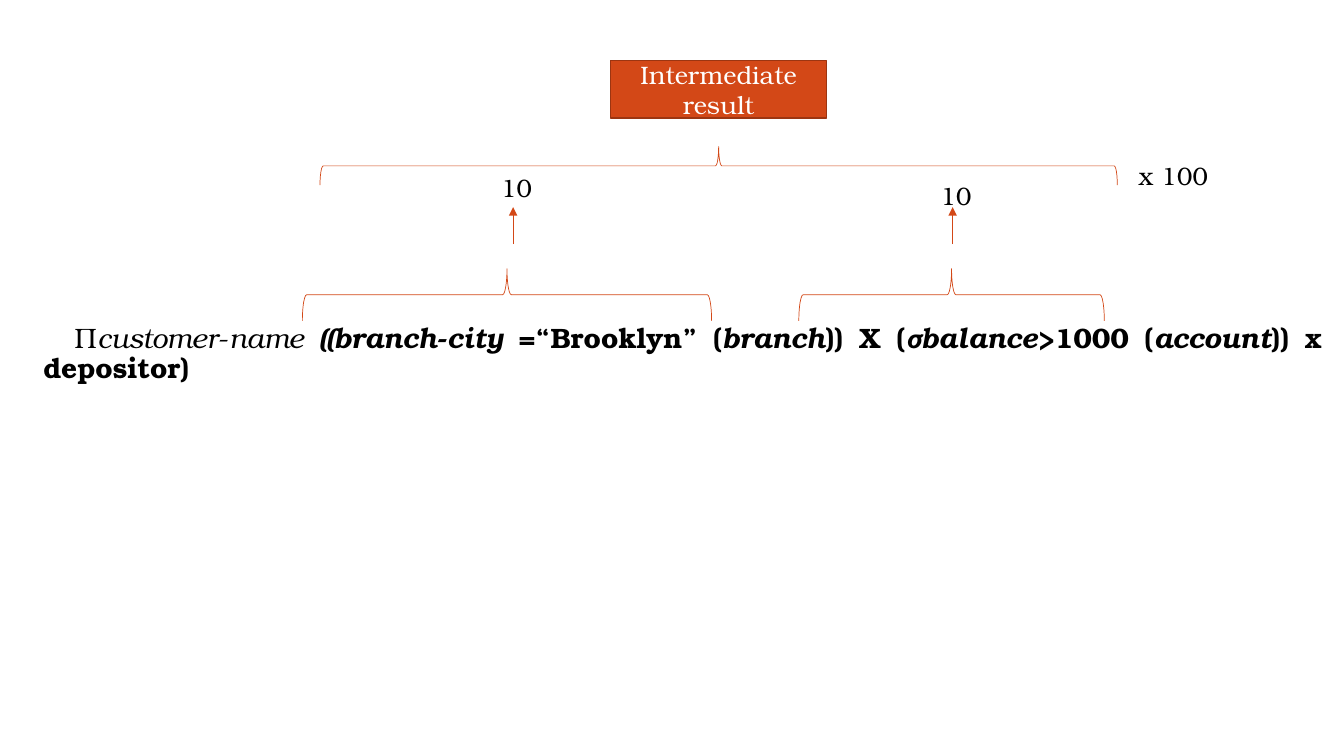
from dataclasses import dataclass
from lxml import etree
from pptx import Presentation, util as u
from pptx.dml.color import RGBColor
from pptx.enum import shapes as sh, text as tx
from pptx.oxml.ns import qn


@dataclass(frozen=True)
class Theme:
    """Colours, font, sizes and line widths."""
    accent: str = "D34817"
    edge: str = "9C3511"
    ink: str = "000000"
    paper: str = "FFFFFF"
    font: str = "TeX Gyre Bonum"
    label: int = 18
    formula: int = 20
    thin: float = 0.5


T = Theme()
WIDE, HIGH = u.Inches(13.33), u.Inches(7.5)
BOLD, SLANT, PLAIN = (True, False), (True, True), (False, False)
FORMULA = [
    ("Π", PLAIN), ("customer", (False, True)), ("-", PLAIN),
    ("name", (False, True)), (" ((branch", SLANT), ("-", BOLD),
    ("city ", SLANT), ("=“Brooklyn” (", BOLD), ("branch", SLANT),
    (")) X (", BOLD), ("σbalance>", SLANT), ("1000 (", BOLD),
    ("account", SLANT), (")) x depositor)", BOLD),
]


def col(n):
    """Turn columns of a 100-column grid into a length."""
    return round(WIDE * n / 100)


def row(n):
    """Turn rows of a 100-row grid into a length."""
    return round(HIGH * n / 100)


def place(box):
    """Turn a grid box into left, top, width and height."""
    x, y, w, h = box
    return col(x), row(y), col(w), row(h)


def write(shape, runs, size=T.label, color=T.ink, align="LEFT",
          anchor="TOP", space=1.0):
    """Fill a shape with one paragraph of (text, (bold, italic)) runs."""
    frame = shape.text_frame
    frame.word_wrap = True
    frame.vertical_anchor = tx.MSO_ANCHOR[anchor]
    para = frame.paragraphs[0]
    para.alignment = tx.PP_ALIGN[align]
    para.line_spacing = space
    for words, (bold, italic) in runs:
        run = para.add_run()
        run.text = words
        font = run.font
        font.name, font.size = T.font, u.Pt(size)
        font.bold, font.italic = bold, italic
        font.color.rgb = RGBColor.from_string(color)
    return para


def note(slide, box, words, **form):
    """Add a text box with a plain label."""
    area = slide.shapes.add_textbox(*place(box))
    write(area, [(words, PLAIN)], **form)


def brace(slide, box):
    """Draw an upward brace that fills the box."""
    x, y, w, h = place(box)
    left, top = x + (w - h) // 2, y + (h - w) // 2
    mark = slide.shapes.add_shape(sh.MSO_SHAPE.RIGHT_BRACE, left, top, h, w)
    mark.rotation = 270
    mark.shadow.inherit = False
    mark.fill.background()
    mark.line.color.rgb = RGBColor.from_string(T.accent)
    mark.line.width = u.Pt(T.thin)


def arrow(slide, x, start, end):
    """Draw a vertical arrow from one row to another."""
    link = slide.shapes.add_connector(
        sh.MSO_CONNECTOR.STRAIGHT, col(x), row(start), col(x), row(end))
    link.line.color.rgb = RGBColor.from_string(T.accent)
    link.line.width = u.Pt(T.thin)
    props = link.line._get_or_add_ln()
    etree.SubElement(props, qn("a:tailEnd"), type="triangle")
    etree.SubElement(link._element.spPr, qn("a:effectLst"))


def operand(slide, box, tip, count, drop=0):
    """Show an operand's brace, arrow and row count within the box."""
    x, y, w, h = box
    brace(slide, (x, y + h * 0.66, w, h * 0.34))
    arrow(slide, x + tip, y + h / 2, y + h * 0.26)
    note(slide, (x + tip - 1.65, y + drop, 5.85, 5.33), count)


def product(slide, box):
    """Show the intermediate result above its brace and factor."""
    x, y, w, h = box
    card = slide.shapes.add_shape(
        sh.MSO_SHAPE.RECTANGLE,
        *place((x + w / 2 - 8.03, y, 16.05, 7.6)))
    card.shadow.inherit = False
    card.fill.solid()
    card.fill.fore_color.rgb = RGBColor.from_string(T.accent)
    card.line.color.rgb = RGBColor.from_string(T.edge)
    card.line.width = u.Pt(1)
    write(card, [("Intermediate result", PLAIN)], color=T.paper,
          align="CENTER", anchor="MIDDLE")
    brace(slide, (x, y + h * 0.69, w, h * 0.31))
    note(slide, (x + w - 3.4, y + 6.53, 15.15, 17.33), "x 100",
         align="CENTER", anchor="MIDDLE")


def query(slide, box):
    """Set the algebra expression as a justified paragraph."""
    area = slide.shapes.add_textbox(*place(box))
    para = write(area, FORMULA, size=T.formula, align="JUSTIFY", space=0.9)
    para._p.get_or_add_pPr().set("indent", str(u.Inches(0.3)))


def main():
    """Build and save the slide."""
    deck = Presentation()
    deck.slide_width, deck.slide_height = WIDE, HIGH
    slide = deck.slides.add_slide(deck.slide_layouts[6])
    product(slide, (23.81, 8, 59.33, 16.5))
    operand(slide, (22.5, 22.13, 30.45, 20.3), 15.68, "10")
    operand(slide, (59.44, 22.13, 22.73, 20.3), 11.44, "10", drop=1.07)
    query(slide, (2.48, 42.27, 96.6, 10.67))
    deck.save("out.pptx")


if __name__ == "__main__":
    main()
